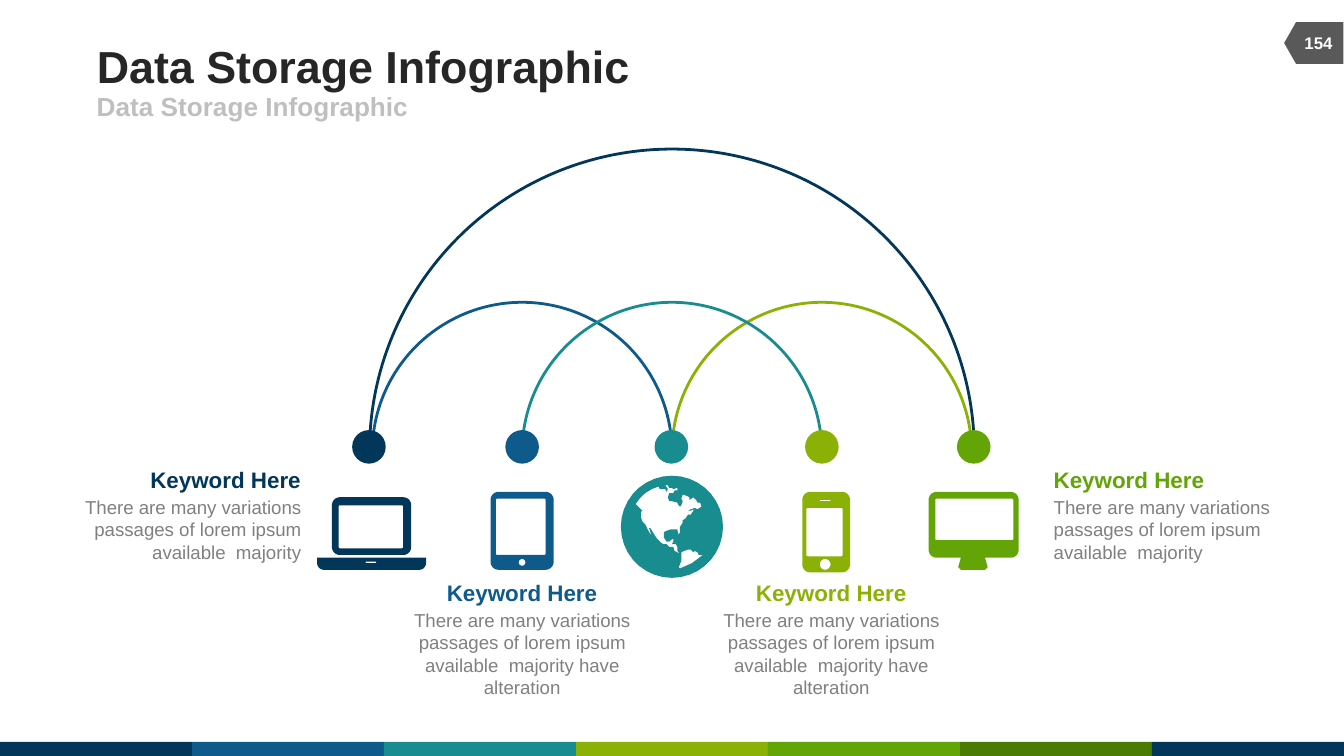
from math import cos, radians, sin

from pptx import Presentation
from pptx.dml.color import RGBColor
from pptx.enum.shapes import MSO_SHAPE
from pptx.enum.text import MSO_ANCHOR, MSO_AUTO_SIZE, PP_ALIGN
from pptx.util import Inches, Pt

CELL = Inches(0.1)
COLUMNS, ROWS = 100, 56.25
NAVY, BLUE, TEAL, LIME, GREEN, FOREST = (
    "023759", "0E5A8B", "198C8F", "8BB106", "63A406", "4A7B04")
PASSAGE = "There are many variations passages of lorem ipsum available  majority"
LONG_PASSAGE = PASSAGE + " have alteration"

NORTH_AMERICA = [
    (51.2, 38), (51.4, 37.9), (51.7, 37.8), (51.9, 37.9), (52.2, 37.7), (52.1, 37.4),
    (51.9, 37.4), (51.8, 37.2), (51.6, 37), (51.3, 37.2), (51.3, 37), (51.1, 36.9),
    (50.8, 36.8), (50.7, 37.1), (50.8, 37.3), (50.7, 37.6), (50.6, 37.7), (50.5, 37.6),
    (50.4, 37.4), (50, 37.3), (49.8, 37.3), (49.7, 37), (49.8, 36.7), (50.1, 36.7),
    (50.2, 36.5), (50.4, 36.5), (50.4, 36.3), (50.1, 36.4), (50, 36.3), (49.8, 36.3),
    (49.7, 36.1), (49.5, 36.1), (49.7, 36.4), (49.6, 36.6), (49.5, 36.4), (49.1, 36.4),
    (49, 36.2), (48.5, 36.4), (48, 36.7), (47.6, 37.1), (47.3, 37.5), (47.5, 37.7),
    (47.8, 38), (47.7, 38.1), (47.7, 38.5), (47.8, 38.8), (48, 39), (48.2, 39.4),
    (48.3, 39.6), (48.5, 39.9), (48.3, 39.3), (48.4, 39.3), (48.7, 39.8), (48.9, 40.1),
    (49.2, 40.4), (49.4, 40.5), (49.6, 40.5), (49.8, 40.7), (50.1, 40.7), (50.2, 41),
    (50.4, 41.1), (50.6, 41.2), (50.4, 41), (50.4, 40.7), (50.3, 40.5), (50, 40.5),
    (50.1, 40.3), (50.1, 40.1), (49.9, 40.2), (49.8, 40.3), (49.6, 40.3), (49.4, 40),
    (49.4, 39.6), (49.6, 39.5), (49.9, 39.4), (50.4, 39.4), (50.5, 39.8), (50.6, 39.6),
    (50.6, 39.2), (50.8, 38.9), (50.8, 38.7), (51, 38.6), (51.2, 38.3), (51.4, 38.3),
    (51.6, 38), (51.6, 37.9), (51.4, 38)]
SOUTH_AMERICA = [
    (52.3, 41.3), (52, 41.3), (51.9, 41.1), (51.7, 41), (51.6, 41.1), (51.4, 40.9),
    (51.2, 40.9), (50.9, 41), (50.7, 41.1), (50.7, 41.4), (50.7, 41.7), (50.6, 42),
    (50.5, 42.2), (50.6, 42.3), (51.5, 41.9)]
MONITOR_STAND = [
    (71.5, 41.5), (73.3, 41.5), (73.5, 42.2), (73.3, 42.4), (71.5, 42.4), (71.3, 42.2)]


def color(value):
    return RGBColor.from_string(value)


def cells(*counts):
    return [round(count * CELL) for count in counts]


def add_solid(slide, kind, frame, fill):
    shape = slide.shapes.add_shape(kind, *cells(*frame))
    shape.shadow.inherit = False
    shape.fill.solid()
    shape.fill.fore_color.rgb = color(fill)
    shape.line.fill.background()
    return shape


def add_arc(slide, left, top, diameter, stroke):
    arc = slide.shapes.add_shape(MSO_SHAPE.ARC, *cells(left, top, diameter, diameter))
    arc.shadow.inherit = False
    arc.adjustments[0] = 107.37
    arc.adjustments[1] = 0
    arc.fill.background()
    arc.line.color.rgb = color(stroke)
    arc.line.width = Pt(1.5)


def rounded_outline(left, top, width, height, top_radius, bottom_radius=None):
    if bottom_radius is None:
        bottom_radius = top_radius
    right, bottom = left + width, top + height
    corners = [
        (left + top_radius, top + top_radius, top_radius, 180),
        (right - top_radius, top + top_radius, top_radius, 270),
        (right - bottom_radius, bottom - bottom_radius, bottom_radius, 0),
        (left + bottom_radius, bottom - bottom_radius, bottom_radius, 90)]
    return [
        (x + radius * cos(radians(start + turn)), y + radius * sin(radians(start + turn)))
        for x, y, radius, start in corners
        for turn in range(0, 91, 10)]


def add_icon(slide, fill, outlines):
    builder = slide.shapes.build_freeform(*cells(*outlines[0][0]))
    for number, outline in enumerate(outlines):
        points = [cells(*point) for point in outline]
        if number:
            builder.move_to(*points[0])
        builder.add_line_segments(points[1:], close=True)
    icon = builder.convert_to_shape()
    icon.shadow.inherit = False
    icon.fill.solid()
    icon.fill.fore_color.rgb = color(fill)
    icon.line.fill.background()


def write(shape, text, size, fill, bold=False, align=PP_ALIGN.LEFT,
          anchor=MSO_ANCHOR.TOP, wrap=True):
    frame = shape.text_frame
    frame.margin_left = frame.margin_right = frame.margin_top = frame.margin_bottom = 0
    frame.auto_size = MSO_AUTO_SIZE.NONE
    frame.word_wrap = wrap
    frame.vertical_anchor = anchor
    paragraph = frame.paragraphs[0]
    paragraph.alignment = align
    run = paragraph.add_run()
    run.text = text
    run.font.name = "Arial"
    run.font.size = Pt(size)
    run.font.bold = bold
    run.font.color.rgb = color(fill)


def add_text(slide, frame, *content, **options):
    write(slide.shapes.add_textbox(*cells(*frame)), *content, **options)


def add_header(slide):
    title = slide.shapes.title
    title.left, title.top, title.width, title.height = cells(7.2, 2.9, 61.7, 3.9)
    write(title, "Data Storage Infographic", 24, "262626", bold=True,
          anchor=MSO_ANCHOR.MIDDLE, wrap=False)
    add_text(slide, (7.2, 6.8, 45, 2.2), "Data Storage Infographic", 14, "BFBFBF",
             bold=True, anchor=MSO_ANCHOR.MIDDLE, wrap=False)
    tag = add_solid(slide, MSO_SHAPE.FLOWCHART_OFFPAGE_CONNECTOR,
                    (96.2, 1, 3.1, 4.4), "595959")
    tag.rotation = 90
    add_text(slide, (96, 1.7, 4.2, 3), "154", 9, "FFFFFF", bold=True,
             align=PP_ALIGN.CENTER, anchor=MSO_ANCHOR.MIDDLE)


def add_color_band(slide):
    band = [NAVY, BLUE, TEAL, LIME, GREEN, FOREST, NAVY]
    width = COLUMNS / len(band)
    for number, fill in enumerate(band):
        add_solid(slide, MSO_SHAPE.RECTANGLE, (number * width, ROWS - 1.05, width, 1.05), fill)


def add_caption(slide, left, top, width, fill, passage, align):
    heading_width = 11.3
    slack = {PP_ALIGN.LEFT: 0, PP_ALIGN.CENTER: 0.5, PP_ALIGN.RIGHT: 1}[align]
    heading_left = left + (width - heading_width) * slack
    add_text(slide, (heading_left, top, heading_width, 2), "Keyword Here", 12, fill,
             bold=True, align=align, wrap=False)
    height = 5 if passage == PASSAGE else 6.7
    add_text(slide, (left, top + 2.2, width, height), passage, 10, "808080", align=align)


def add_devices(slide):
    add_icon(slide, NAVY, [
        rounded_outline(24.7, 37, 5.9, 4.3, 0.6),
        rounded_outline(25.2, 37.6, 4.8, 3.2, 0.1),
        rounded_outline(23.6, 41.5, 8.1, 0.9, 0, 0.5),
        rounded_outline(27.2, 41.8, 0.8, 0.1, 0.05)])
    add_icon(slide, BLUE, [
        rounded_outline(36.5, 36.6, 4.7, 5.8, 0.6),
        rounded_outline(36.9, 37.1, 3.7, 4.2, 0.1),
        rounded_outline(38.6, 41.6, 0.5, 0.5, 0.25)])
    add_icon(slide, TEAL, [
        rounded_outline(46.2, 35.4, 7.6, 7.6, 3.8), NORTH_AMERICA, SOUTH_AMERICA])
    add_icon(slide, LIME, [
        rounded_outline(59.7, 36.6, 3.55, 6, 0.6),
        rounded_outline(60, 37.8, 2.7, 3.6, 0.1),
        rounded_outline(61, 37.2, 0.8, 0.1, 0.05),
        rounded_outline(61, 41.6, 0.8, 0.8, 0.4)])
    add_icon(slide, GREEN, [
        rounded_outline(69.1, 36.6, 6.7, 4.9, 0.6),
        rounded_outline(69.6, 37.1, 5.8, 3.1, 0.1),
        MONITOR_STAND])


def main():
    presentation = Presentation()
    presentation.slide_width, presentation.slide_height = cells(COLUMNS, ROWS)
    slide = presentation.slides.add_slide(presentation.slide_layouts[5])
    add_color_band(slide)
    add_header(slide)
    add_arc(slide, 27.5, 11.1, 45, NAVY)
    for left, stroke in [(50, LIME), (27.7, BLUE), (38.85, TEAL)]:
        add_arc(slide, left, 22.5, 22.3, stroke)
    add_devices(slide)
    for left, fill in zip([26.2, 37.6, 48.7, 59.9, 71.2], [NAVY, BLUE, TEAL, LIME, GREEN]):
        add_solid(slide, MSO_SHAPE.OVAL, (left, 32, 2.5, 2.5), fill)
    add_caption(slide, 5.3, 34.7, 17.1, NAVY, PASSAGE, PP_ALIGN.RIGHT)
    add_caption(slide, 29.8, 43.1, 18.1, BLUE, LONG_PASSAGE, PP_ALIGN.CENTER)
    add_caption(slide, 52.8, 43.1, 18.1, LIME, LONG_PASSAGE, PP_ALIGN.CENTER)
    add_caption(slide, 78.4, 34.7, 17.1, GREEN, PASSAGE, PP_ALIGN.LEFT)
    presentation.save("out.pptx")


if __name__ == "__main__":
    main()
